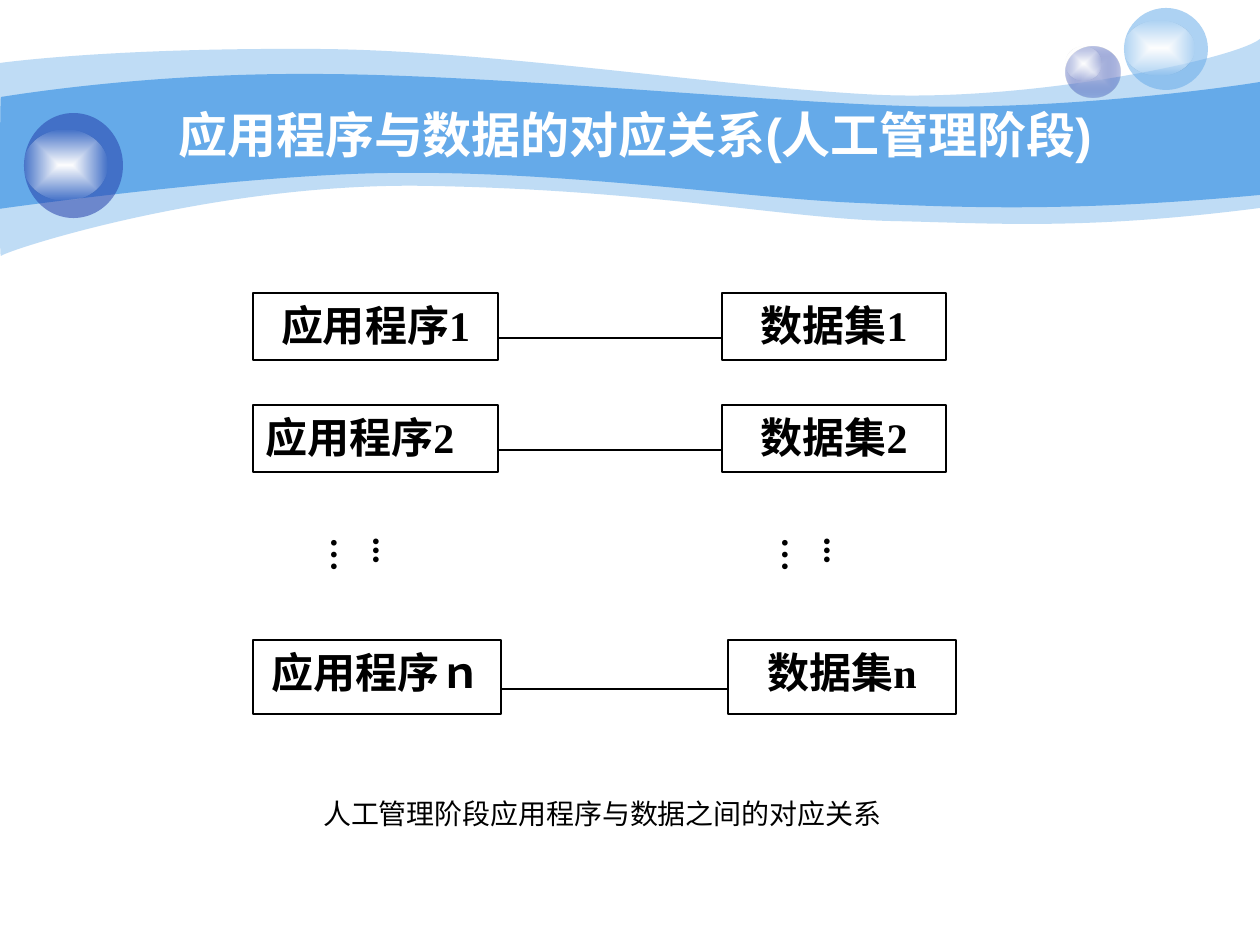
from lxml import etree
from pptx import Presentation
from pptx import util as u
from pptx.dml.color import RGBColor
from pptx.enum import shapes, text
from pptx.oxml.ns import qn

SCALE = 914400 / 126  # EMU in one px
HEX = {"sky": "65AAE9", "navy": "233DA9", "pale": "C7CEE9",
       "white": "FFFFFF", "black": "000000"}

# Content
TITLE = "应用程序与数据的对应关系(人工管理阶段)"
CAPTION = "人工管理阶段应用程序与数据之间的对应关系"
DOTS = "...…"
MID, LEFT = text.PP_ALIGN.CENTER, text.PP_ALIGN.LEFT

# Rows: top, height, line y, then (label, left, width, align) per box
ROWS = [
    (293, 67, 338, ("应用程序1", 253, 245, MID), ("数据集1", 722, 224, MID)),
    (405, 67, 450, ("应用程序2", 253, 245, LEFT), ("数据集2", 722, 224, MID)),
    (640, 74, 689, ("应用程序ｎ", 253, 248, MID), ("数据集n", 728, 228, MID)),
]
DOT_LEFTS = [348, 799]

# Bands: fill, opacity, start, then segments of one point (line) or three (curve)
BANDS = [
    ("sky", 41, (0, 63), [
        [(30, 59), (135, 48), (311, 49)],
        [(486, 49), (725, 88), (881, 95)],
        [(1036, 101), (1235, 59), (1260, 39)],
        [(1260, 208)],
        [(1081, 231), (992, 223), (888, 221)],
        [(784, 218), (649, 190), (432, 186)],
        [(217, 181), (5, 251), (1, 256)],
        [(-1, 262), (0, 95), (0, 63)]]),
    ("sky", 100, (1, 97), [
        [(3, 97), (139, 73), (312, 74)],
        [(486, 74), (750, 101), (905, 106)],
        [(1060, 111), (1230, 87), (1260, 82)],
        [(1260, 195)],
        [(1075, 212), (964, 208), (859, 203)],
        [(755, 199), (563, 171), (399, 173)],
        [(256, 173), (-3, 209), (-1, 209)],
        [(0, 209), (0, 97), (1, 97)]]),
]

# Balls: place, then one (colour, opacity) for plain or two for centre and rim
GLOW = [("white", 100), ("white", 0)]
BALLS = [
    ((1066, 47, 54, 51), [("pale", 100), ("navy", 31)]),
    ((1066, 47, 35, 34), GLOW),
    ((1124, 8, 84, 82), [("sky", 53)]),
    ((1124, 21, 70, 54), GLOW),
    ((24, 113, 99, 105), [("navy", 53)]),
    ((24, 130, 83, 70), GLOW),
]


def px(*vals):
    return [u.Emu(round(v * SCALE)) for v in vals]


def rgb(name):
    return RGBColor.from_string(HEX[name])


def add_tint(parent, name, alpha):
    clr = etree.SubElement(parent, qn("a:srgbClr"), val=HEX[name])
    etree.SubElement(clr, qn("a:alpha"), val=str(alpha * 1000))


def paint(shape, tints):
    """Fill without outline: one tint is solid, two run from centre to rim."""
    props = shape._element.spPr
    if len(tints) == 1:
        add_tint(etree.SubElement(props, qn("a:solidFill")), *tints[0])
    else:
        grad = etree.SubElement(props, qn("a:gradFill"))
        stops = etree.SubElement(grad, qn("a:gsLst"))
        for pos, tint in zip(("0", "100000"), tints):
            add_tint(etree.SubElement(stops, qn("a:gs"), pos=pos), *tint)
        way = etree.SubElement(grad, qn("a:path"), {"path": "rect"})
        etree.SubElement(way, qn("a:fillToRect"),
                         {side: "50000" for side in "ltrb"})
    shape.line.fill.background()
    shape.shadow.inherit = False


def add_band(tree, name, alpha, start, segs):
    pen = tree.build_freeform(*start, scale=SCALE)
    pen.add_line_segments([pt for seg in segs for pt in seg], close=True)
    band = pen.convert_to_shape()
    lines = iter(list(band._element.iter(qn("a:lnTo"))))
    for seg in segs:
        steps = [next(lines) for _ in seg]
        if len(seg) == 3:
            curve = etree.Element(qn("a:cubicBezTo"))
            steps[0].addprevious(curve)
            for step in steps:
                curve.append(step[0])
                step.getparent().remove(step)
    paint(band, [(name, alpha)])


def write(shape, words, size, bold=True, color="black", align=MID,
          face="Times New Roman", **frame):
    box = shape.text_frame
    for key, val in frame.items():
        setattr(box, key, val)
    para = box.paragraphs[0]
    para.alignment = align
    run = para.add_run()
    run.text = words
    look = {"size": u.Pt(size), "bold": bold, "name": face}
    for key, val in look.items():
        setattr(run.font, key, val)
    run.font.color.rgb = rgb(color)


def outline(shape):
    shape.line.color.rgb = rgb("black")
    shape.line.width = u.Pt(0.75)


def main():
    deck = Presentation()
    deck.slide_width, deck.slide_height = px(1260, 945)
    slide = deck.slides.add_slide(deck.slide_layouts[5])
    tree = slide.shapes

    # Backdrop
    for band in BANDS:
        add_band(tree, *band)
    for place, tints in BALLS:
        ball = tree.add_shape(shapes.MSO_SHAPE.OVAL, *px(*place))
        paint(ball, tints)

    # Title, brought in front of the bands
    title = tree.title
    title.left, title.top, title.width, title.height = px(126, 95, 1018, 78)
    write(title, TITLE, 28, color="white", face="Arial", word_wrap=True,
          vertical_anchor=text.MSO_ANCHOR.MIDDLE)
    title._element.getparent().append(title._element)

    # Program and data boxes, joined in pairs
    for top, high, mid, *pair in ROWS:
        for label, left, wide, align in pair:
            box = tree.add_shape(shapes.MSO_SHAPE.RECTANGLE,
                                 *px(left, top, wide, high))
            box.fill.solid()
            box.fill.fore_color.rgb = rgb("white")
            outline(box)
            box.shadow.inherit = False
            write(box, label, 24, align=align, word_wrap=True,
                  vertical_anchor=text.MSO_ANCHOR.TOP)
        (_, left, wide, _), (_, end, _, _) = pair
        link = tree.add_connector(shapes.MSO_CONNECTOR.STRAIGHT,
                                  *px(left + wide, mid, end, mid))
        outline(link)
        etree.SubElement(link._element.spPr, qn("a:effectLst"))

    # Upright dots
    for left in DOT_LEFTS:
        dots = tree.add_textbox(*px(left, 525, 67, 84))
        side, edge = u.Inches(0.05), u.Inches(0.1)
        write(dots, DOTS, 20, align=LEFT, word_wrap=True,
              auto_size=text.MSO_AUTO_SIZE.SHAPE_TO_FIT_TEXT,
              margin_left=side, margin_right=side,
              margin_top=edge, margin_bottom=edge)
        dots.text_frame._txBody.bodyPr.set("vert", "eaVert")

    # Caption
    note = tree.add_textbox(*px(260, 790, 685, 50))
    write(note, CAPTION, 16, bold=False, word_wrap=False,
          auto_size=text.MSO_AUTO_SIZE.SHAPE_TO_FIT_TEXT)

    deck.save("out.pptx")


if __name__ == "__main__":
    main()
